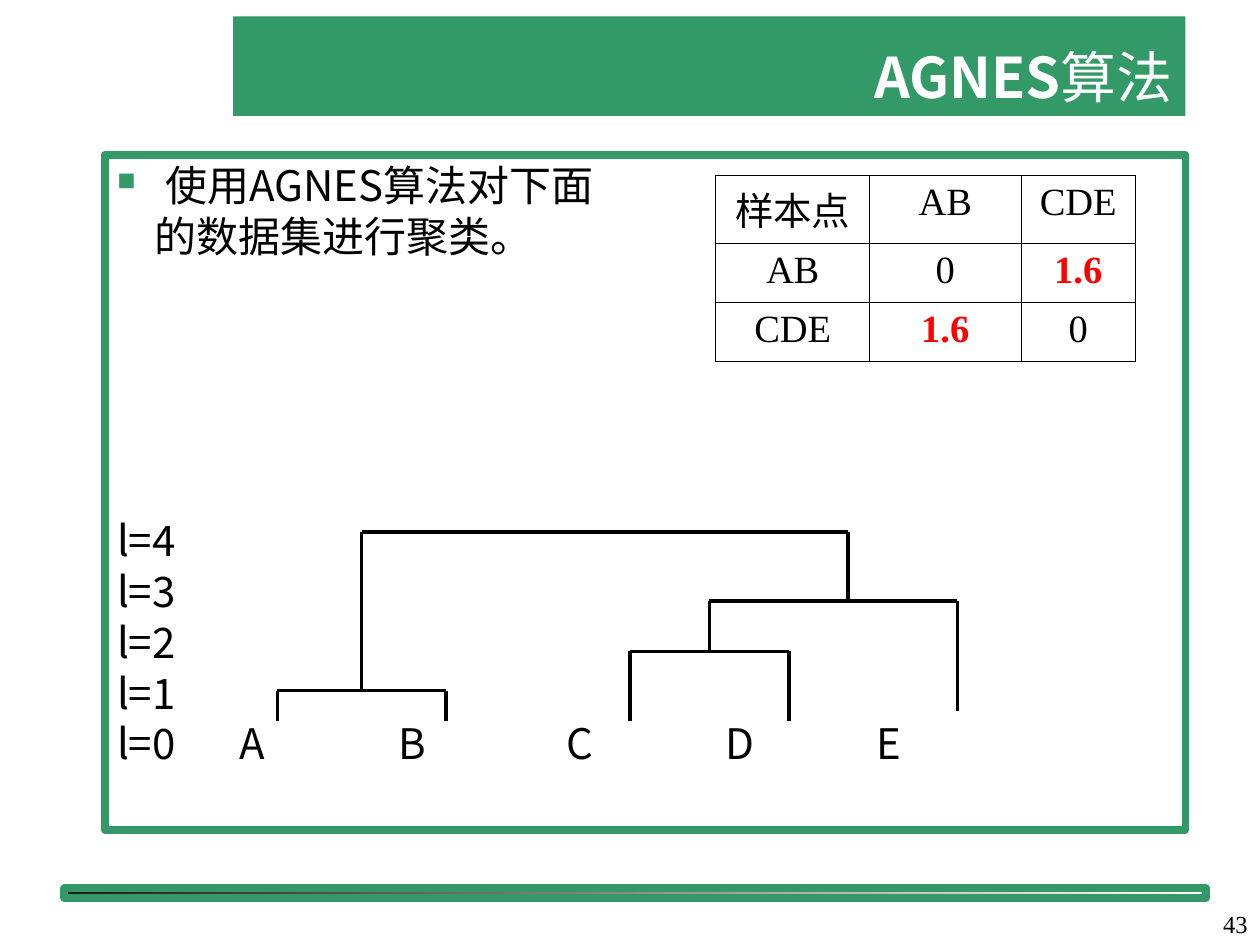
from lxml.etree import SubElement
from pptx import Presentation
from pptx.dml.color import RGBColor
from pptx.enum.shapes import MSO_CONNECTOR, MSO_SHAPE
from pptx.enum.text import MSO_ANCHOR, PP_ALIGN
from pptx.oxml.ns import qn
from pptx.util import Cm, Pt

GREEN, BLACK, WHITE, RED = "339966", "000000", "FFFFFF", "FF0000"
SANS, SANS_BODY, SERIF = "Noto Sans CJK SC", "Noto Sans CJK JP", "Times New Roman"

TITLE = [("AGNES", True), ("算法", False)]
TASK = ["使用AGNES算法对下面", "的数据集进行聚类。"]
LEVELS = ["l=4", "l=3", "l=2", "l=1", "l=0\tA\tB\tC\tD\tE"]
LEAF_TABS = [2.46, 5.68, 9.07, 12.27, 15.32]
DISTANCES = [["样本点", "AB", "CDE"], ["AB", "0", "1.6"], ["CDE", "1.6", "0"]]
COLUMN_WIDTHS = [3.1, 3.05, 2.31]
ROW_HEIGHTS = [1.37, 1.19, 1.19]

LEAF, AB, CD, CDE, ALL = 14.53, 13.92, 13.13, 12.12, 10.72
MERGES = [
    (AB, (5.59, LEAF), (8.99, LEAF)),
    (CD, (12.7, LEAF), (15.9, LEAF)),
    (CDE, (14.3, CD), (19.3, 14.33)),
    (ALL, (7.29, AB), (17.09, CDE)),
]
LINE_PITCH = 29
EMPTY_LINES = 5


def color(value):
    return RGBColor.from_string(value)


def style(span, size, name, value=BLACK, bold=False):
    span.font.size = Pt(size)
    span.font.name = name
    span.font.bold = bold
    span.font.color.rgb = color(value)
    east_asian = SANS if name == SERIF else name
    span.font._element.find(qn("a:latin")).addnext(
        span.font._element.makeelement(qn("a:ea"), {"typeface": east_asian}))


def add_box(left, top, width, height, fill=None, line=None):
    box = slide.shapes.add_shape(MSO_SHAPE.RECTANGLE, Cm(left), Cm(top), Cm(width), Cm(height))
    box.shadow.inherit = False
    if fill:
        box.fill.solid()
        box.fill.fore_color.rgb = color(fill)
    else:
        box.fill.background()
    if line:
        box.line.color.rgb = color(line)
        box.line.width = Pt(4.5)
    else:
        box.line.fill.background()
    box.text_frame.word_wrap = True
    return box


def add_bullet(para):
    properties = para._p.get_or_add_pPr()
    SubElement(SubElement(properties, qn("a:buClr")), qn("a:srgbClr"), val=GREEN)
    SubElement(properties, qn("a:buSzPct"), val="60000")
    SubElement(properties, qn("a:buChar"), char="■")


def add_tabs(para, stops):
    tabs = SubElement(para._p.get_or_add_pPr(), qn("a:tabLst"))
    for stop in stops:
        SubElement(tabs, qn("a:tab"), pos=str(Cm(stop)), algn="l")


def add_borders(cell):
    properties = cell._tc.get_or_add_tcPr()
    for index, side in enumerate(("lnL", "lnR", "lnT", "lnB")):
        border = properties.makeelement(qn(f"a:{side}"), {"w": str(Pt(0.45))})
        SubElement(SubElement(border, qn("a:solidFill")), qn("a:srgbClr"), val=BLACK)
        properties.insert(index, border)


def add_line(group, start, end):
    line = group.shapes.add_connector(
        MSO_CONNECTOR.STRAIGHT, *(Cm(value) for value in start + end))
    line.line.color.rgb = color(BLACK)
    line.line.width = Pt(2)
    SubElement(line._element.spPr, qn("a:effectLst"))


deck = Presentation()
deck.slide_width, deck.slide_height = Cm(25.4), Cm(19.05)
slide = deck.slides.add_slide(deck.slide_layouts[6])

footer = add_box(1.3, 17.91, 23.01, 0.2, line=GREEN)
footer.fill.gradient()
footer.fill.gradient_angle = 0
for stop, value in zip(footer.fill.gradient_stops, ("1C1C1C", WHITE)):
    stop.color.rgb = color(value)

title = add_box(4.7, 0.33, 19.2, 2.01, fill=GREEN)
title.text_frame.vertical_anchor = MSO_ANCHOR.BOTTOM
para = title.text_frame.paragraphs[0]
para.alignment = PP_ALIGN.RIGHT
for words, bold in TITLE:
    span = para.add_run()
    span.text = words
    style(span, 32, SANS, WHITE, bold)

body = add_box(2.11, 3.12, 21.79, 13.61, line=GREEN)
frame = body.text_frame
frame.vertical_anchor = MSO_ANCHOR.TOP
frame.margin_top = Cm(0.09)
frame.text = "\n".join(TASK + LEVELS)
first, second, *levels = frame.paragraphs
add_bullet(first)
first._p.pPr.set("marL", str(Cm(0.97)))
first._p.pPr.set("indent", str(Cm(-0.97)))
second._p.get_or_add_pPr().set("marL", str(Cm(0.76)))
add_tabs(levels[-1], LEAF_TABS)
levels[0].space_before = Pt(EMPTY_LINES * LINE_PITCH)
for para in frame.paragraphs:
    para.alignment = PP_ALIGN.LEFT
    para.line_spacing = Pt(LINE_PITCH)
    style(para.runs[0], 24, SANS_BODY)

table = slide.shapes.add_table(
    len(ROW_HEIGHTS), len(COLUMN_WIDTHS), Cm(14.43), Cm(3.53),
    Cm(sum(COLUMN_WIDTHS)), Cm(sum(ROW_HEIGHTS))).table
table.first_row = table.horz_banding = False
for column, width in zip(table.columns, COLUMN_WIDTHS):
    column.width = Cm(width)
for row, height, values in zip(table.rows, ROW_HEIGHTS, DISTANCES):
    row.height = Cm(height)
    for cell, value in zip(row.cells, values):
        cell.text_frame.text = value
        cell.fill.background()
        add_borders(cell)
        para = cell.text_frame.paragraphs[0]
        para.alignment = PP_ALIGN.CENTER
        nearest = value == "1.6"
        style(para.runs[0], 22, SERIF, RED if nearest else BLACK, nearest)

dendrogram = slide.shapes.add_group_shape()
for top, left_foot, right_foot in MERGES:
    left_corner, right_corner = (left_foot[0], top), (right_foot[0], top)
    add_line(dendrogram, left_foot, left_corner)
    add_line(dendrogram, left_corner, right_corner)
    add_line(dendrogram, right_corner, right_foot)

number = slide.shapes.add_textbox(Cm(20.12), Cm(17.78), Cm(5.28), Cm(1.27))
number.text_frame.word_wrap = True
number.text_frame.vertical_anchor = MSO_ANCHOR.BOTTOM
number.text_frame.text = "43"
para = number.text_frame.paragraphs[0]
para.alignment = PP_ALIGN.RIGHT
style(para.runs[0], 14, SERIF)

deck.save("out.pptx")
